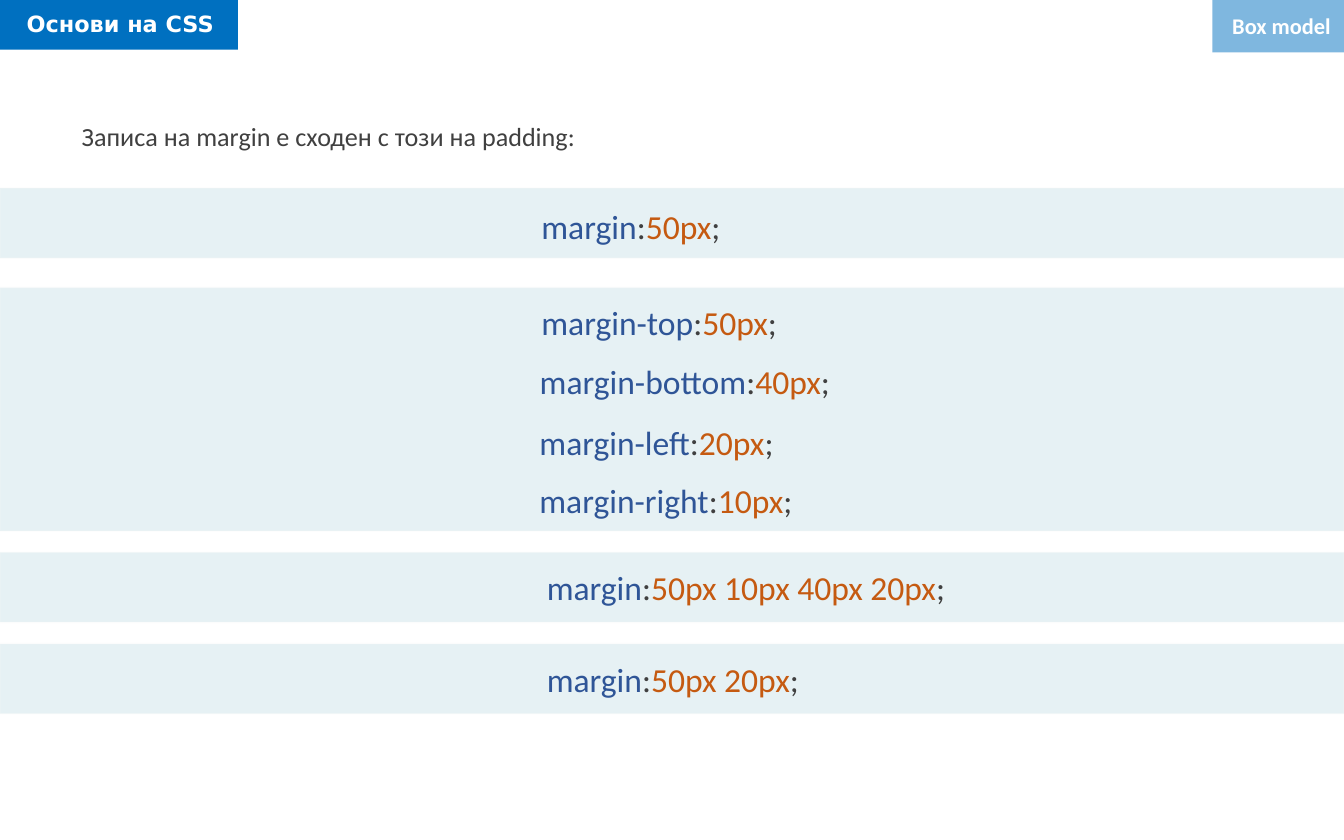
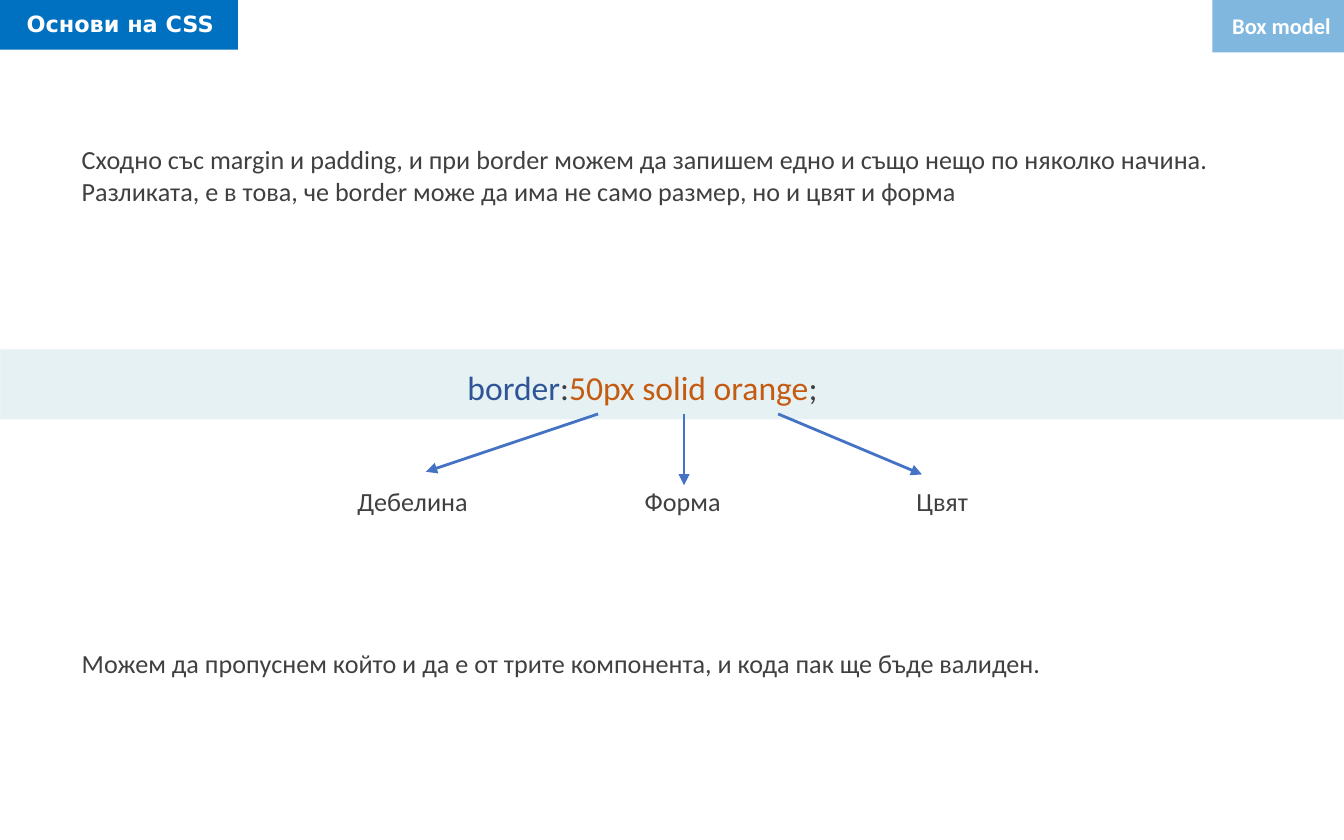
from lxml import etree
from pptx import Presentation
from pptx.dml.color import RGBColor
from pptx.enum.shapes import MSO_CONNECTOR, MSO_SHAPE
from pptx.enum.text import MSO_AUTO_SIZE, PP_ALIGN
from pptx.oxml.ns import qn
from pptx.util import Inches, Pt

RECTANGLE = MSO_SHAPE.RECTANGLE
STRAIGHT = MSO_CONNECTOR.STRAIGHT
FIT_SHAPE = MSO_AUTO_SIZE.SHAPE_TO_FIT_TEXT
LEFT, CENTER, RIGHT = PP_ALIGN.LEFT, PP_ALIGN.CENTER, PP_ALIGN.RIGHT

WHITE = RGBColor(0xFF, 0xFF, 0xFF)
HEADER_BLUE = RGBColor(0x00, 0x70, 0xC0)
BAND_TEAL = RGBColor(0x12, 0x79, 0x94)
BAND_EDGE = RGBColor(0xF8, 0xF8, 0xF8)
TEXT_GRAY = RGBColor(0x40, 0x40, 0x40)
PROPERTY_BLUE = RGBColor(0x2F, 0x55, 0x97)
VALUE_ORANGE = RGBColor(0xC5, 0x5A, 0x11)
ARROW_BLUE = RGBColor(0x44, 0x72, 0xC4)

BODY_LEFT, BODY_WIDTH = 0.51, 9.06
BAND_HEIGHT = 0.52
CODE_HEIGHT = 0.4


def add_rectangle(slide, area, color, opacity=100, edge=None, edge_opacity=100):
    """Draw a filled rectangle; opacities are in percent."""
    shape = slide.shapes.add_shape(RECTANGLE, *map(Inches, area))
    shape.shadow.inherit = False
    shape.fill.solid()
    shape.fill.fore_color.rgb = color
    if edge is None:
        shape.line.fill.background()
    else:
        shape.line.color.rgb = edge
        shape.line.width = Pt(1)
    fill_color, *edge_color = shape._element.spPr.iter(qn("a:srgbClr"))
    for element, percent in [(fill_color, opacity)] + [(e, edge_opacity) for e in edge_color]:
        if percent < 100:
            etree.SubElement(element, qn("a:alpha"), val=str(percent * 1000))


def add_text(slide, area, lines, size=14, color=TEXT_GRAY, alignment=LEFT,
             font="Calibri", bold=False, wrap=True):
    """Add a text box with one paragraph per line and return its paragraphs."""
    text_frame = slide.shapes.add_textbox(*map(Inches, area)).text_frame
    text_frame.word_wrap = wrap
    text_frame.auto_size = FIT_SHAPE
    text_frame.text = "\n".join(lines)
    for paragraph in text_frame.paragraphs:
        paragraph.alignment = alignment
        paragraph.font.name = font
        paragraph.font.size = Pt(size)
        paragraph.font.bold = bold
        paragraph.font.color.rgb = color
    return text_frame.paragraphs


presentation = Presentation()
presentation.slide_width = Inches(10)
presentation.slide_height = Inches(6.25)
blank_layout = presentation.slide_layouts[6]
margin_slide = presentation.slides.add_slide(blank_layout)
border_slide = presentation.slides.add_slide(blank_layout)

# Header tabs
for slide in (margin_slide, border_slide):
    add_rectangle(slide, (0, -0.02, 1.77, 0.39), HEADER_BLUE)
    add_text(slide, (0.1, 0.03, 1.67, 0.3), ["Основи на CSS"], 12, WHITE,
             font="DejaVu Sans", bold=True)
    add_rectangle(slide, (9.02, 0, 0.98, 0.39), HEADER_BLUE, opacity=50)
    add_text(slide, (9.02, 0.04, 0.98, 0.3), ["Box model"], 12, WHITE, RIGHT, bold=True)

# Full-width bands behind the code
bands = [
    (margin_slide, 1.4, BAND_HEIGHT),
    (margin_slide, 2.14, 1.81),
    (margin_slide, 4.11, BAND_HEIGHT),
    (margin_slide, 4.79, BAND_HEIGHT),
    (border_slide, 2.6, BAND_HEIGHT),
]
for slide, top, height in bands:
    add_rectangle(slide, (0, top, 10, height), BAND_TEAL, 10, BAND_EDGE, 16)

# CSS declarations
declarations = [
    (margin_slide, "margin", "50px", 3.93, 1.48, 1.55, LEFT),
    (margin_slide, "margin-top", "50px", 3.92, 2.2, 1.97, CENTER),
    (margin_slide, "margin-bottom", "40px", 3.9, 2.64, 2.39, CENTER),
    (margin_slide, "margin-left", "20px", 3.9, 3.09, 1.97, CENTER),
    (margin_slide, "margin-right", "10px", 3.9, 3.52, 2.11, CENTER),
    (margin_slide, "margin", "50px 10px 40px 20px", 3.97, 4.17, 3.2, LEFT),
    (margin_slide, "margin", "50px 20px", 3.97, 4.85, 2.1, LEFT),
    (border_slide, "border", "50px solid orange", 3.38, 2.68, 2.84, LEFT),
]
for slide, css_property, value, left, top, width, alignment in declarations:
    paragraph = add_text(slide, (left, top, width, CODE_HEIGHT), [css_property], 18,
                         alignment=alignment, wrap=False)[0]
    paragraph.runs[0].font.color.rgb = PROPERTY_BLUE
    for text, color in ((":", TEXT_GRAY), (value, VALUE_ORANGE), (";", TEXT_GRAY)):
        run = paragraph.add_run()
        run.text = text
        run.font.color.rgb = color

# Explanations
explanations = [
    (margin_slide, 0.85, 0.34, ["Записа на margin е сходен с този на padding:"]),
    (border_slide, 1.02, 0.57, [
        "Сходно със margin и padding, и при border можем да запишем едно и също нещо "
        "по няколко начина.",
        "Разликата, е в това, че border може да има не само размер, но и цвят и форма",
    ]),
    (border_slide, 4.77, 0.34, [
        "Можем да пропуснем който и да е от трите компонента, и кода пак ще бъде валиден.",
    ]),
]
for slide, top, height, lines in explanations:
    add_text(slide, (BODY_LEFT, top, BODY_WIDTH, height), lines)

# Arrows from the border value to the names of its components
components = [
    ("Дебелина", 2.48, 4.45, 3.17, 3.51),
    ("Форма", 4.49, 5.09, 5.09, 3.61),
    ("Цвят", 6.42, 5.79, 6.86, 3.53),
]
for name, label_left, start_x, end_x, end_y in components:
    arrow = border_slide.shapes.add_connector(
        STRAIGHT, Inches(start_x), Inches(3.08), Inches(end_x), Inches(end_y))
    arrow.line.color.rgb = ARROW_BLUE
    arrow.line.width = Pt(1.5)
    etree.SubElement(arrow.line._get_or_add_ln(), qn("a:tailEnd"), type="triangle")
    etree.SubElement(arrow._element.spPr, qn("a:effectLst"))
    add_text(border_slide, (label_left, 3.56, 1.18, 0.34), [name], alignment=CENTER)

presentation.save("out.pptx")
